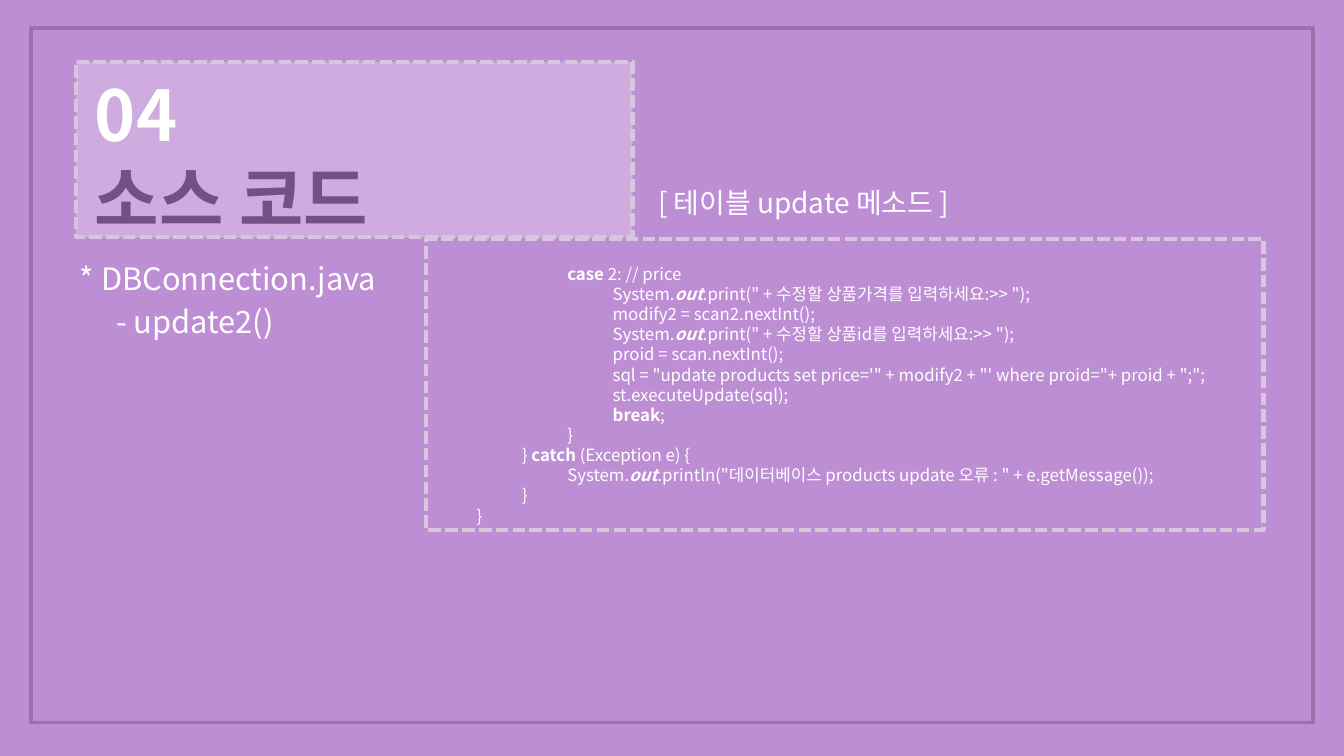
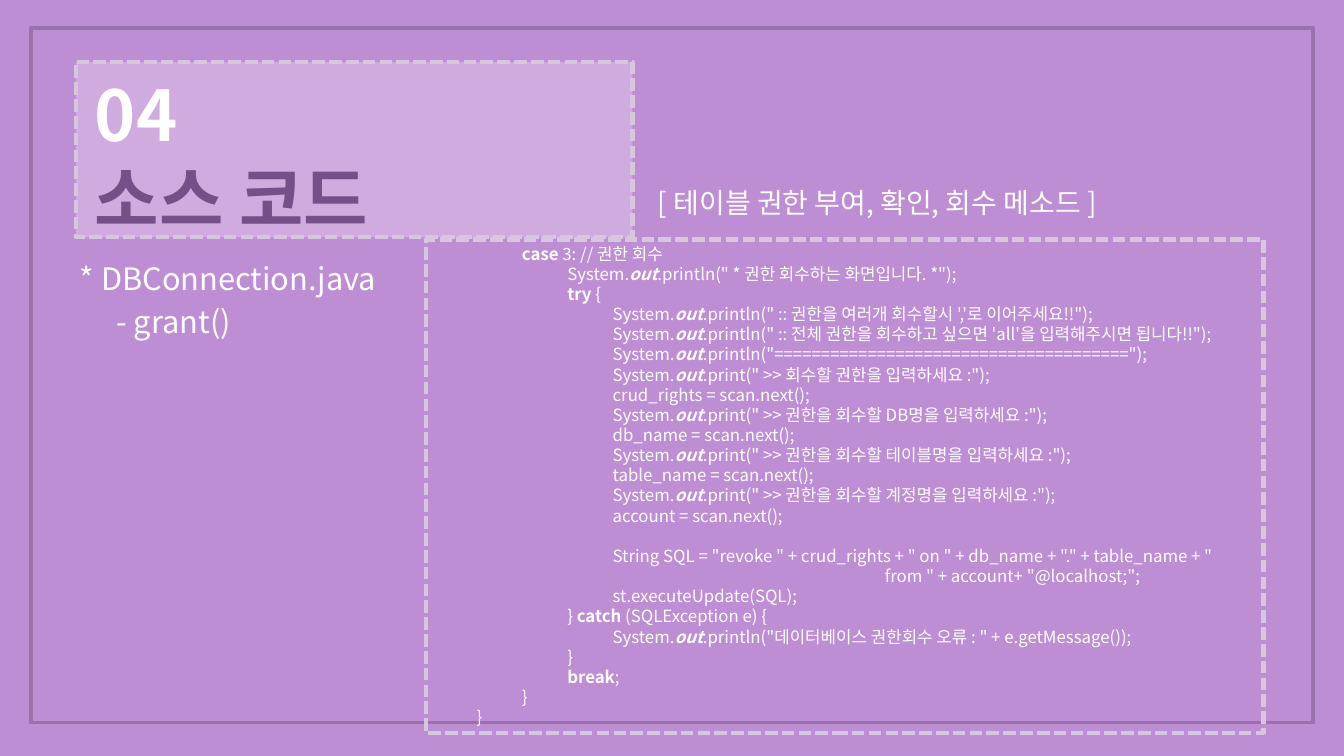
from lxml import etree
from pptx import Presentation
from pptx.dml.color import RGBColor
from pptx.enum.dml import MSO_LINE
from pptx.enum.shapes import MSO_SHAPE
from pptx.enum.text import MSO_ANCHOR, PP_ALIGN
from pptx.oxml.ns import qn
from pptx.util import Pt

RECT = MSO_SHAPE.RECTANGLE
DASH = MSO_LINE.SQUARE_DOT
MIDDLE, TOP = MSO_ANCHOR.MIDDLE, MSO_ANCHOR.TOP
LEFT = PP_ALIGN.LEFT
color = RGBColor.from_string

FONT = "Noto Sans CJK KR"
BACK, FRAME, EDGE = "BE8ED5", "9972AC", "D6C7DE"
PALE, PLUM, WHITE = "F2E8F7", "754F87", "FFFFFF"
CODE, TAB, LEAD = 24, 64.8, 1.2
DROP = 0.08  # baseline shift, as a share of the text size
KEYS = {"case", "try", "catch", "break", "out"}

# Each code line is (level, text); bars split off the keywords.
# A level of None leaves a gap of one line.
PAGES = [
    {
        "head": "[ 테이블 update 메소드 ]", "width": 436,
        "call": "- update2()", "high": 415,
        "code": [
            (None, ""),
            (3, "case |2: // price"),
            (4, "System.|out|.print(\" + 수정할 상품가격를 입력하세요:>> \");"),
            (4, "modify2 = scan2.nextInt();"),
            (4, "System.|out|.print(\" + 수정할 상품id를 입력하세요:>> \");"),
            (4, "proid = scan.nextInt();"),
            (4, "sql = \"update products set price='\" + modify2 + "
                "\"' where proid=\"+ proid + \";\";"),
            (4, "st.executeUpdate(sql);"),
            (4, "break|;"),
            (3, "}"),
            (2, "} |catch| (Exception e) {"),
            (3, "System.|out|.println(\"데이터베이스 products update 오류 : \""
                " + e.getMessage());"),
            (2, "}"),
            (1, "}"),
        ],
    },
    {
        "head": "[ 테이블 권한 부여, 확인, 회수 메소드 ]", "width": 654,
        "call": "- grant()", "high": 705,
        "code": [
            (2, "case |3: // 권한 회수"),
            (3, "System.|out|.println(\" * 권한 회수하는 화면입니다. *\");"),
            (3, "try |{"),
            (4, "System.|out|.println(\" :: 권한을 여러개 회수할시 ','로 이어주세요!!\");"),
            (4, "System.|out|.println(\" :: 전체 권한을 회수하고 싶으면 "
                "'all'을 입력해주시면 됩니다!!\");"),
            (4, "System.|out|.println(\"" + "=" * 38 + "\");"),
            (4, "System.|out|.print(\" >> 회수할 권한을 입력하세요 :\");"),
            (4, "crud_rights = scan.next();"),
            (4, "System.|out|.print(\" >> 권한을 회수할 DB명을 입력하세요 :\");"),
            (4, "db_name = scan.next();"),
            (4, "System.|out|.print(\" >> 권한을 회수할 테이블명을 입력하세요 :\");"),
            (4, "table_name = scan.next();"),
            (4, "System.|out|.print(\" >> 권한을 회수할 계정명을 입력하세요 :\");"),
            (4, "account = scan.next();"),
            (None, ""),
            (4, "String SQL = \"revoke \" + crud_rights + \" on \" + db_name"
                " + \".\" + table_name + \""),
            (10, "from \" + account+ \"@localhost;\";"),
            (4, "st.executeUpdate(SQL);"),
            (3, "} |catch| (SQLException e) {"),
            (4, "System.|out|.println(\"데이터베이스 권한회수 오류 : \""
                " + e.getMessage());"),
            (3, "}"),
            (3, "break|;"),
            (2, "}"),
            (1, "}"),
        ],
    },
]


def box(slide, place, edge, width, dash=None):
    """Add an unfilled rectangle with an outline."""
    shape = slide.shapes.add_shape(RECT, *[Pt(n) for n in place])
    shape.shadow.inherit = False
    shape.fill.background()
    shape.line.color.rgb = color(edge)
    shape.line.width = Pt(width)
    if dash:
        shape.line.dash_style = dash
    return shape


def write(par, text, size, tint=WHITE, bold=False, slant=False):
    """Add one run to a left-aligned paragraph."""
    par.alignment = LEFT
    par.line_spacing = Pt(size * LEAD)
    run = par.add_run()
    run.text = text
    font = run.font
    font.name, font.size = FONT, Pt(size)
    font.bold, font.italic = bold, slant
    font.color.rgb = color(tint)
    etree.SubElement(font._element, qn("a:ea")).set("typeface", FONT)


deck = Presentation()
deck.slide_width, deck.slide_height = Pt(1920), Pt(1080)

for page in PAGES:
    slide = deck.slides.add_slide(deck.slide_layouts[6])

    # Background and frame
    slide.background.fill.solid()
    slide.background.fill.fore_color.rgb = color(BACK)
    box(slide, (44, 40, 1832, 992), FRAME, 5)

    # Title panel
    panel = box(slide, (108.5, 88.5, 795, 250.5), EDGE, 6, DASH)
    panel.fill.solid()
    panel.fill.fore_color.rgb = color(PALE)
    tone = panel.fill._xPr.find(".//" + qn("a:srgbClr"))
    etree.SubElement(tone, qn("a:alpha")).set("val", "33000")
    frame = panel.text_frame
    frame.word_wrap = True
    frame.vertical_anchor = MIDDLE
    frame.margin_left = Pt(27)
    frame.margin_top, frame.margin_bottom = Pt(200 * DROP), Pt(0)
    write(frame.paragraphs[0], "04", 100, WHITE, True)
    write(frame.add_paragraph(), "소스 코드", 100, PLUM, True)

    # Code panel
    panel = box(slide, (609, 342, 1196, page["high"]), EDGE, 6, DASH)
    frame = panel.text_frame
    frame.word_wrap = True
    frame.vertical_anchor = TOP
    top = 3.6 + CODE * DROP
    par, gap = frame.paragraphs[0], 0
    for row, (level, text) in enumerate(page["code"]):
        if level is None:
            gap = CODE * LEAD
            if row == 0:
                top, gap = top + gap, 0
            continue
        if par is None:
            par = frame.add_paragraph()
        par.space_before = Pt(gap)
        par._p.get_or_add_pPr().set("marL", str(Pt(level * TAB)))
        for part in text.split("|"):
            word = part.strip()
            write(par, part, CODE, WHITE, word in KEYS, word == "out")
        par, gap = None, 0
    frame.margin_top = Pt(top)

    # Labels
    for text, size, place in [
        ("* DBConnection.java", 44, (110, 363.5, 441, 61)),
        (page["head"], 40, (936, 257, page["width"], 57)),
        (page["call"], 44, (162, 425, 242, 61)),
    ]:
        label = slide.shapes.add_textbox(*[Pt(n) for n in place])
        frame = label.text_frame
        frame.word_wrap = True
        frame.vertical_anchor = MIDDLE
        frame.margin_left, frame.margin_right = Pt(4), Pt(2)
        frame.margin_top, frame.margin_bottom = Pt(2 * size * DROP), Pt(0)
        write(frame.paragraphs[0], text, size)

deck.save("out.pptx")
